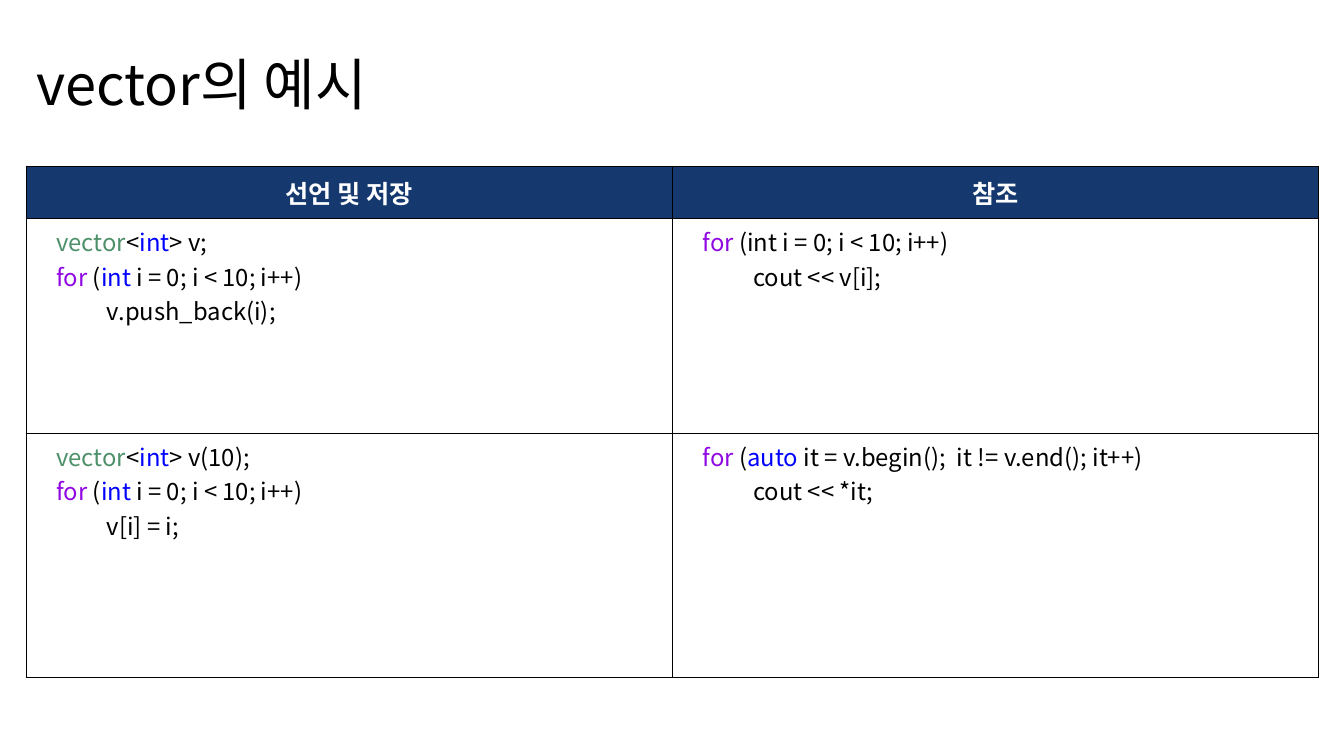
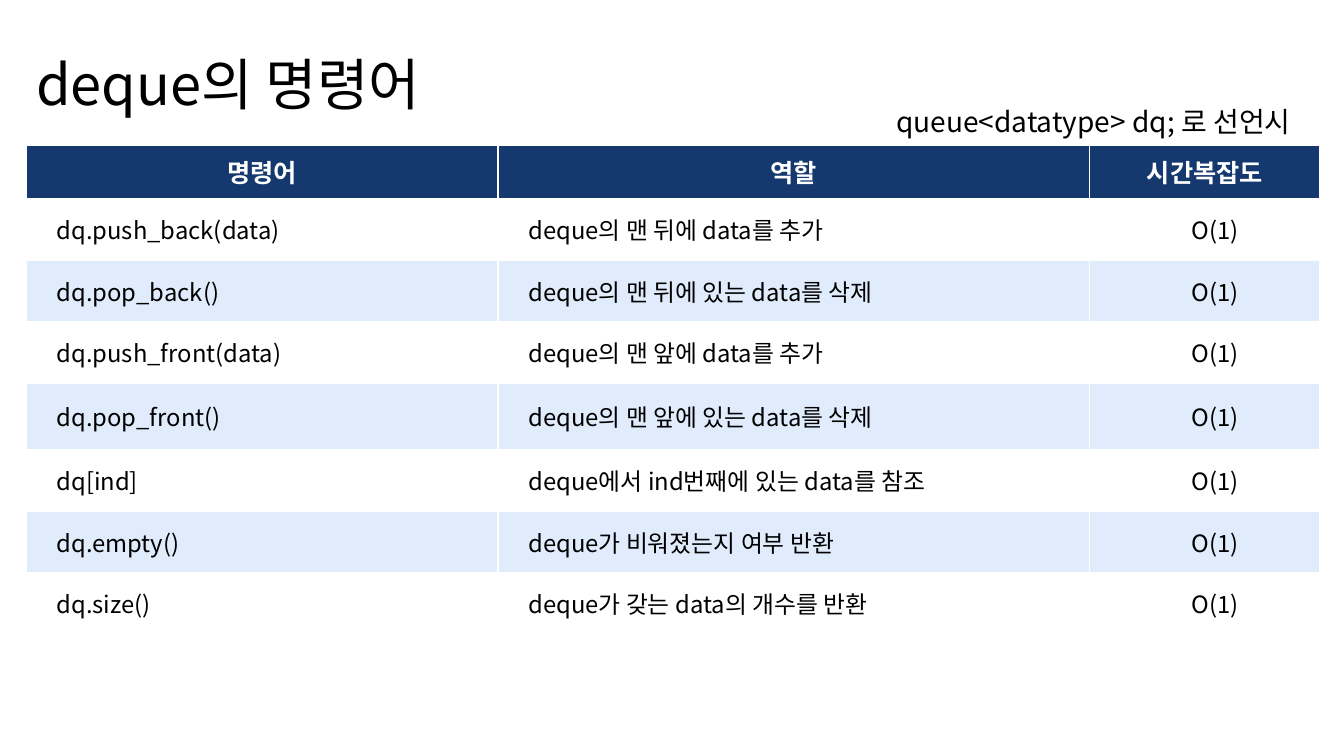
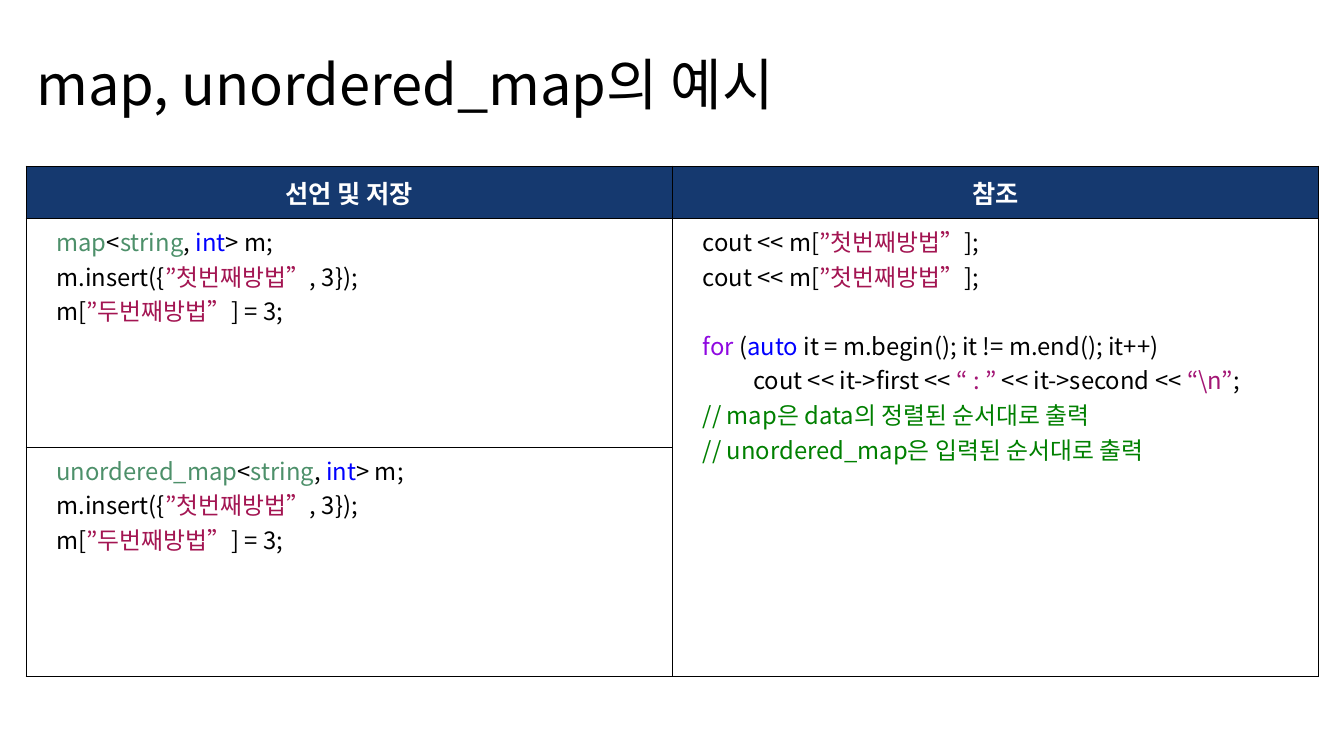
from pptx import Presentation
from pptx.dml.color import RGBColor
from pptx.enum.text import MSO_ANCHOR as Anchor, MSO_AUTO_SIZE as AutoSize, PP_ALIGN as Align
from pptx.oxml.ns import qn
from pptx.util import Inches, Pt
from lxml.etree import SubElement

FONT = "Noto Sans CJK KR"
COLORS = {
    "ink": "000000",
    "white": "FFFFFF",
    "header": "15396F",
    "band": "E0EBFC",
    "type": "4D906A",
    "keyword": "0000FF",
    "control": "8F08E1",
    "string": "A31552",
    "literal": "A31675",
    "comment": "008000",
}
LEFT = 0.26
TABLE_WIDTH = 12.82
CODE_INDENT = 0.2
CODE_SIZE = 17
CODE_LINE = 24.6


class Deck:
    def __init__(self):
        self.deck = Presentation()
        self.deck.slide_width = Inches(13.33)
        self.deck.slide_height = Inches(7.5)
        self.page = None

    def add_page(self, title, width=8.7):
        self.page = self.deck.slides.add_slide(self.deck.slide_layouts[5])
        self.fill_box(self.page.shapes.title, (LEFT, 0.44, width, 0.76), title, 40)

    def add_note(self, place, text):
        box = self.page.shapes.add_textbox(*[Inches(length) for length in place])
        self.fill_box(box, place, text, 20)

    def fill_box(self, box, place, text, size):
        box.left, box.top, box.width, box.height = [Inches(length) for length in place]
        frame = box.text_frame
        frame.word_wrap = True
        frame.auto_size = AutoSize.NONE
        frame.vertical_anchor = Anchor.MIDDLE
        self.add_spans(frame.paragraphs[0], [text], size)

    def add_spans(self, para, spans, size, color="ink", bold=False, align=Align.LEFT, indent=0):
        para.alignment = align
        properties = para._p.get_or_add_pPr()
        properties.set("marL", str(Inches(indent)))
        properties.set("indent", "0")
        for item in spans:
            text, shade = (item, color) if isinstance(item, str) else item
            span = para.add_run()
            span.text = text
            font = span.font
            font.name = FONT
            font.size = Pt(size)
            font.bold = bold
            font.color.rgb = RGBColor.from_string(COLORS[shade])
            SubElement(font._element, qn("a:ea")).set("typeface", FONT)

    def add_table(self, top, widths, heights, headers, border):
        place = [Inches(length) for length in (LEFT, top, TABLE_WIDTH, sum(heights))]
        table = self.page.shapes.add_table(len(heights), len(widths), *place).table
        table.horz_banding = False
        for column, width in zip(table.columns, widths):
            column.width = Inches(width)
        for row, height in zip(table.rows, heights):
            row.height = Inches(height)
        for cell in table.iter_cells():
            self.style_cell(cell, "white", border)
        for cell, header in zip(table.rows[0].cells, headers):
            self.style_cell(cell, "header")
            cell.vertical_anchor = Anchor.MIDDLE
            self.add_spans(cell.text_frame.paragraphs[0], [header], 18, "white", True, Align.CENTER)
        return table

    def style_cell(self, cell, fill, border=None):
        if border:
            properties = cell._tc.get_or_add_tcPr()
            for side in ("L", "R", "T", "B"):
                line = SubElement(properties, qn(f"a:ln{side}"))
                line.set("w", str(Pt(1)))
                paint = SubElement(line, qn("a:solidFill"))
                SubElement(paint, qn("a:srgbClr")).set("val", COLORS[border])
        cell.fill.solid()
        cell.fill.fore_color.rgb = RGBColor.from_string(COLORS[fill])

    def add_code(self, cell, *blocks):
        frame = cell.text_frame
        para = frame.paragraphs[0]
        for block_number, block in enumerate(blocks):
            for line_number, line in enumerate(block):
                if block_number or line_number:
                    para = frame.add_paragraph()
                if block_number and not line_number:
                    para.space_before = Pt(CODE_LINE)
                self.add_spans(para, line, CODE_SIZE, indent=CODE_INDENT)

    def add_code_table(self, heights):
        half = TABLE_WIDTH / 2
        return self.add_table(1.65, [half, half], heights, ["선언 및 저장", "참조"], "ink")

    def add_command_table(self, commands):
        heights = [0.53] + [0.61] * len(commands)
        heights[4] = 0.66
        headers = ["명령어", "역할", "시간복잡도"]
        table = self.add_table(1.44, [4.68, 5.87, 2.28], heights, headers, "white")
        aligns = [Align.LEFT, Align.LEFT, Align.CENTER]
        for number, command in enumerate(commands, 1):
            texts = [*command, "O(1)"]
            for cell, text, align in zip(table.rows[number].cells, texts, aligns):
                self.style_cell(cell, "white" if number % 2 else "band")
                cell.vertical_anchor = Anchor.MIDDLE
                self.add_spans(cell.text_frame.paragraphs[0], [text], CODE_SIZE,
                               align=align, indent=CODE_INDENT)


def vector_fill(declaration, statement):
    return [
        [("vector", "type"), "<", ("int", "keyword"), declaration],
        [("for", "control"), " (", ("int ", "keyword"), "i = 0; i < 10; i++)"],
        ["\t" + statement],
    ]


def map_fill(name):
    return [
        [(name, "type"), "<", ("string", "type"), ",", (" int", "keyword"), "> m;"],
        ["m.insert({", ("”첫번째방법”", "string"), ", 3});"],
        ["m[", ("”두번째방법”", "string"), "] = 3;"],
    ]


def iterator_loop(condition):
    return [("for", "control"), " (", ("auto", "keyword"), condition]


def main():
    slides = Deck()

    slides.add_page("vector의 예시")
    table = slides.add_code_table([0.52, 2.13, 2.42])
    slides.add_code(table.cell(1, 0), vector_fill("> v;", "v.push_back(i);"))
    slides.add_code(table.cell(1, 1), [
        [("for", "control"), " (int i = 0; i < 10; i++)"],
        ["\tcout << v[i];"],
    ])
    slides.add_code(table.cell(2, 0), vector_fill("> v(10);", "v[i] = i;"))
    slides.add_code(table.cell(2, 1), [
        iterator_loop(" it = v.begin();  it != v.end(); it++)"),
        ["\tcout << *it;"],
    ])

    slides.add_page("deque의 명령어", 5.99)
    slides.add_note((8.79, 0.99, 4.28, 0.43), "queue<datatype> dq; 로 선언시")
    slides.add_command_table([
        ("dq.push_back(data)", "deque의 맨 뒤에 data를 추가"),
        ("dq.pop_back()", "deque의 맨 뒤에 있는 data를 삭제"),
        ("dq.push_front(data)", "deque의 맨 앞에 data를 추가"),
        ("dq.pop_front()", "deque의 맨 앞에 있는 data를 삭제"),
        ("dq[ind]", "deque에서 ind번째에 있는 data를 참조"),
        ("dq.empty()", "deque가 비워졌는지 여부 반환"),
        ("dq.size()", "deque가 갖는 data의 개수를 반환"),
    ])

    slides.add_page("map, unordered_map의 예시")
    table = slides.add_code_table([0.52, 2.27, 2.27])
    table.cell(1, 1).merge(table.cell(2, 1))
    slides.add_code(table.cell(1, 0), map_fill("map"))
    slides.add_code(table.cell(2, 0), map_fill("unordered_map"))
    lookup = ["cout << m[", ("”첫번째방법”", "string"), "];"]
    slides.add_code(table.cell(1, 1), [lookup, lookup], [
        iterator_loop(" it = m.begin(); it != m.end(); it++)"),
        ["\tcout << it->first << ", ("“ : ”", "literal"), " << it->second << ",
         ("“\\n”", "literal"), ";"],
        [("// map은 data의 정렬된 순서대로 출력", "comment")],
        [("// unordered_map은 입력된 순서대로 출력", "comment")],
    ])

    slides.deck.save("out.pptx")


if __name__ == "__main__":
    main()
